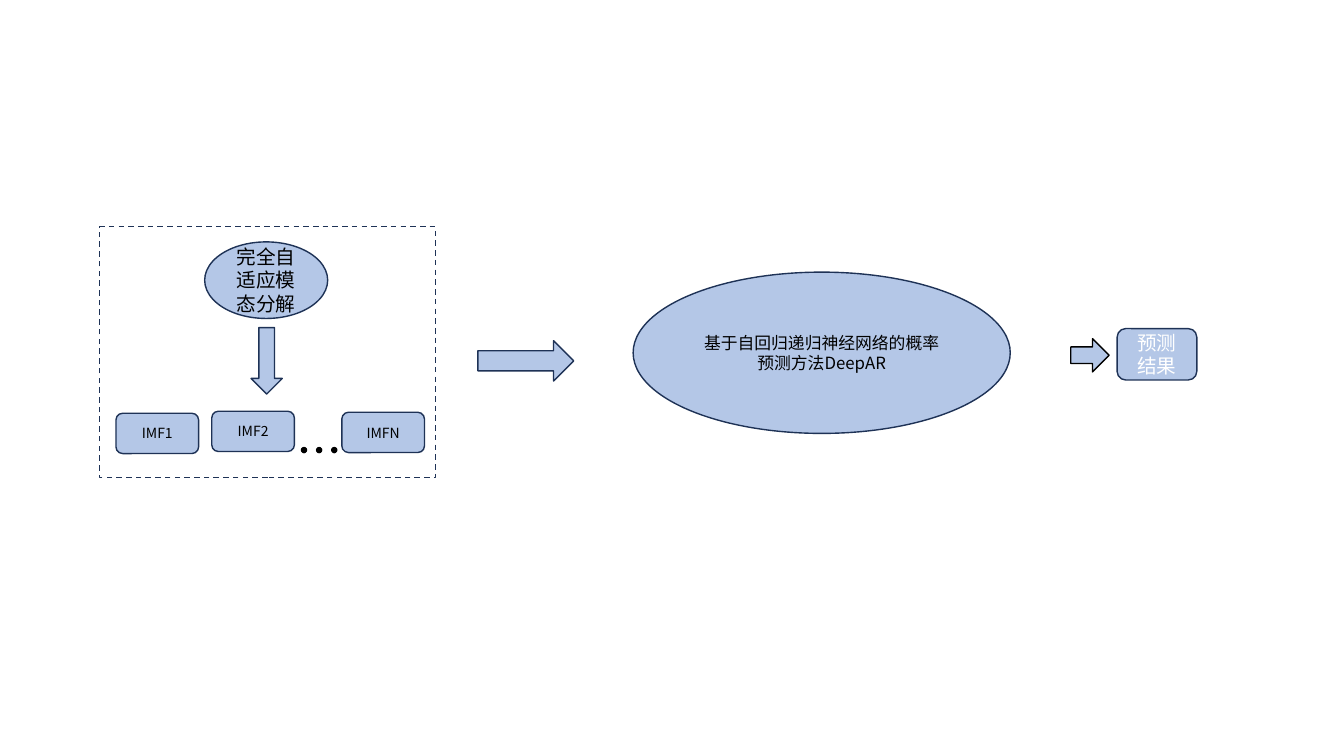
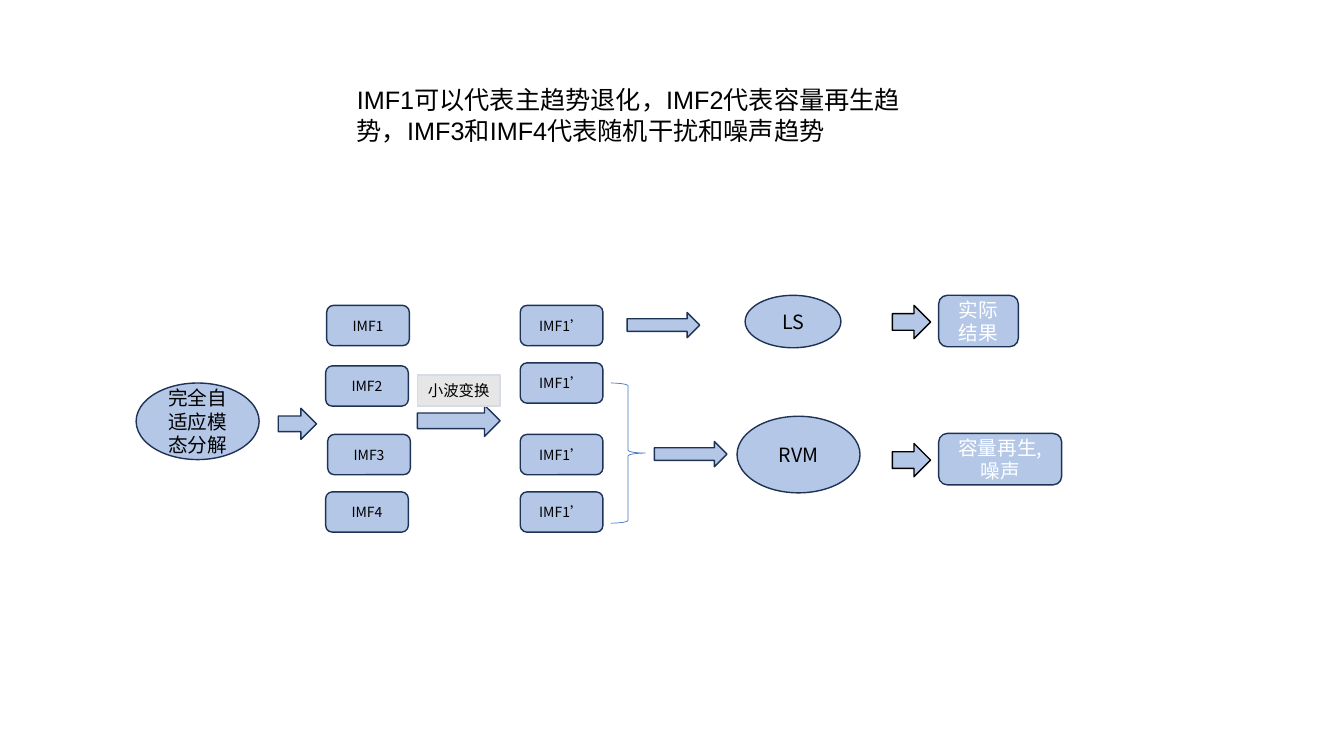
from lxml.etree import SubElement
from pptx import Presentation
from pptx.dml.color import RGBColor
from pptx.enum.dml import MSO_LINE
from pptx.enum.shapes import MSO_SHAPE
from pptx.enum.text import MSO_ANCHOR, MSO_AUTO_SIZE, PP_ALIGN
from pptx.oxml.ns import qn
from pptx.util import Inches, Pt

COLORS = {
    "fill": "B4C7E7",
    "edge": "1E3256",
    "black": "000000",
    "white": "FFFFFF",
    "label": "E7E6E6",
    "rim": "D6DCE5",
    "brace": "4472C4",
}
FONT = "Noto Sans CJK SC"
OVAL = MSO_SHAPE.OVAL
CARD = MSO_SHAPE.ROUNDED_RECTANGLE
ARROW = MSO_SHAPE.RIGHT_ARROW


def write(shape, text, size, ink="black", face=FONT, align=PP_ALIGN.CENTER):
    frame = shape.text_frame
    frame.word_wrap = True
    para = frame.paragraphs[0]
    para.alignment = align
    run = para.add_run()
    run.text = text
    for key, value in {"name": face, "size": Pt(size)}.items():
        setattr(run.font, key, value)
    run.font.color.rgb = RGBColor.from_string(COLORS[ink])
    SubElement(run.font._element, qn("a:ea"), typeface=FONT)


def draw(slide, kind, box, text="", size=14, ink="black", fill="fill", edge="edge", width=1):
    shape = slide.shapes.add_shape(kind, *map(Inches, box))
    shape.shadow.inherit = False
    if fill:
        shape.fill.solid()
        shape.fill.fore_color.rgb = RGBColor.from_string(COLORS[fill])
    else:
        shape.fill.background()
    shape.line.color.rgb = RGBColor.from_string(COLORS[edge])
    shape.line.width = Pt(width)
    if text:
        shape.text_frame.vertical_anchor = MSO_ANCHOR.MIDDLE
        write(shape, text, size, ink)
    return shape


deck = Presentation()
deck.slide_width = Inches(13.33)
deck.slide_height = Inches(7.5)
blank = deck.slide_layouts[6]
first = deck.slides.add_slide(blank)
second = deck.slides.add_slide(blank)

modes = [
    (first, "IMF1", 1.15, 4.1),
    (first, "IMF2", 2.1, 4.08),
    (first, "IMFN", 3.39, 4.09),
    (second, "IMF1", 3.24, 3.03),
    (second, "IMF2", 3.23, 3.63),
    (second, "IMF3", 3.25, 4.31),
    (second, "IMF4", 3.23, 4.88),
]
modes += [(second, "IMF1’", 5.16, top) for top in (3.03, 3.6, 4.31, 4.88)]
for slide, name, left, top in modes:
    draw(slide, CARD, (left, top, 0.82, 0.4), name, 10)

for slide, left, top in [(first, 2.03, 2.4), (second, 1.35, 3.8)]:
    draw(slide, OVAL, (left, top, 1.22, 0.76), "完全自适应模态分解")

results = [
    (first, 10.62, 3.36, 0.79, "预测结果"),
    (second, 8.85, 3.03, 0.79, "实际结果"),
    (second, 8.85, 4.4, 1.22, "容量再生,噪声"),
]
for slide, left, top, width, text in results:
    draw(slide, ARROW, (left, top, 0.38, 0.33), edge="black")
    draw(slide, CARD, (left + 0.46, top - 0.1, width, 0.51), text, ink="white")

draw(first, ARROW, (4.74, 3.38, 0.95, 0.4))
draw(first, MSO_SHAPE.DOWN_ARROW, (2.49, 3.25, 0.31, 0.66))
draw(first, OVAL, (6.28, 2.7, 3.74, 1.6), "基于自回归递归神经网络的概率预测方法DeepAR", 12)
border = draw(first, MSO_SHAPE.RECTANGLE, (0.99, 2.25, 3.33, 2.49), fill=None)
border.line.dash_style = MSO_LINE.DASH
for step in range(3):
    draw(first, OVAL, (2.99 + 0.15 * step, 4.44, 0.05, 0.05), fill="black", edge="black")

note = second.shapes.add_textbox(*map(Inches, (3.44, 0.79, 5.71, 0.71)))
write(note, "IMF1可以代表主趋势退化，IMF2代表容量再生趋势，IMF3和IMF4代表随机干扰和噪声趋势",
      18, face="Arial", align=PP_ALIGN.LEFT)
note.text_frame.auto_size = MSO_AUTO_SIZE.SHAPE_TO_FIT_TEXT

arrows = [
    (2.76, 4.05, 0.38, 0.31),
    (4.14, 4.02, 0.82, 0.31),
    (6.22, 3.1, 0.72, 0.25),
    (6.49, 4.38, 0.72, 0.25),
]
for box in arrows:
    draw(second, ARROW, box)
draw(second, MSO_SHAPE.RECTANGLE, (4.14, 3.72, 0.82, 0.31), "小波变换", 11, fill="label", edge="rim")
draw(second, OVAL, (7.39, 2.93, 0.95, 0.52), "LS")
draw(second, OVAL, (7.31, 4.13, 1.22, 0.76), "RVM")
draw(second, MSO_SHAPE.RIGHT_BRACE, (6.06, 3.8, 0.34, 1.39), fill=None, edge="brace", width=0.5)

deck.save("out.pptx")
